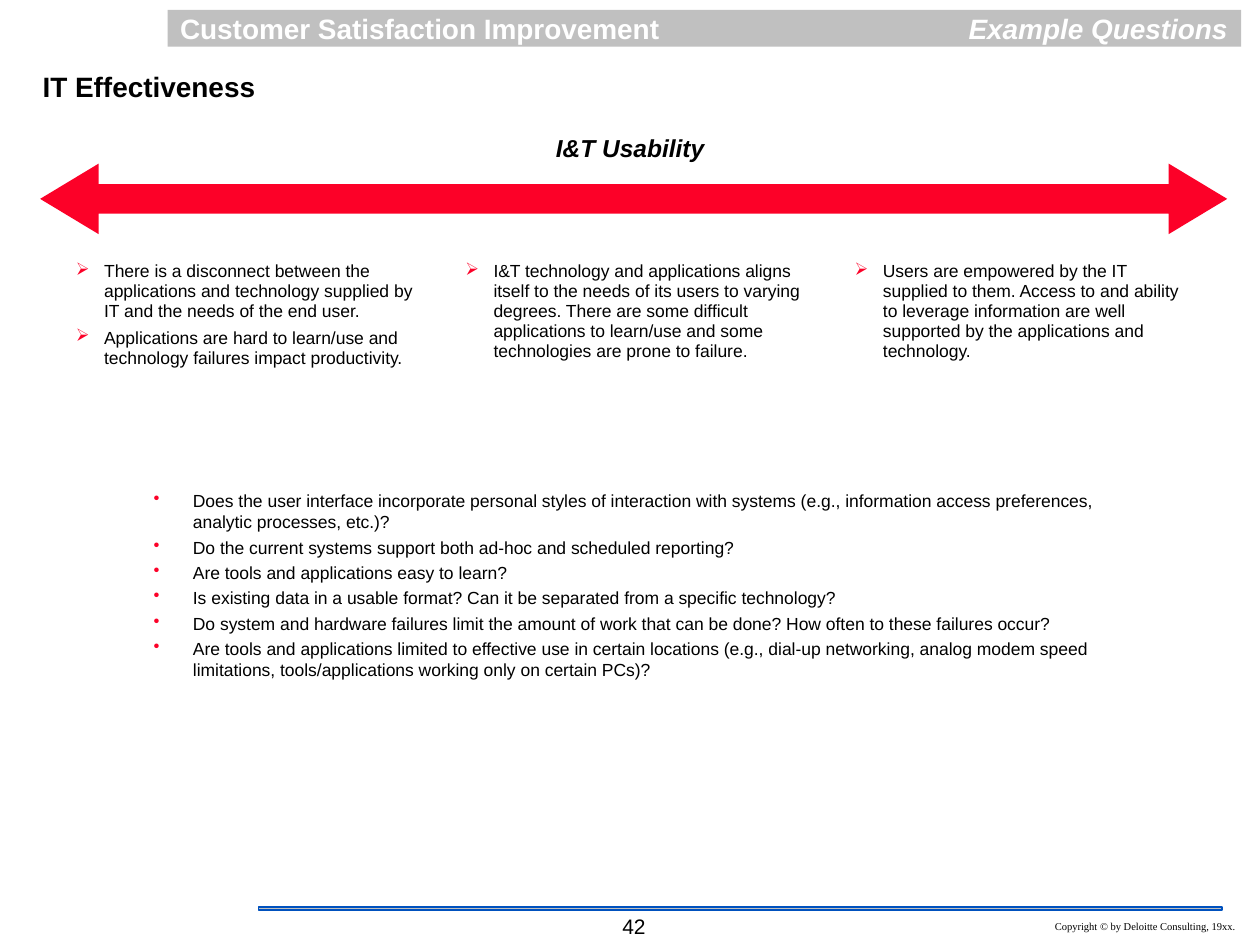
from dataclasses import dataclass

from lxml.etree import SubElement
from pptx import Presentation
from pptx.dml.color import RGBColor
from pptx.enum.shapes import MSO_SHAPE
from pptx.enum.text import MSO_ANCHOR, PP_ALIGN
from pptx.oxml.ns import qn
from pptx.util import Cm, Pt


@dataclass(frozen=True)
class Theme:
    sans: str = "Arial"
    serif: str = "Times New Roman"
    black: str = "000000"
    white: str = "FFFFFF"
    grey: str = "C0C0C0"
    red: str = "FC0128"
    blue: str = "0051BE"
    heading: int = 16
    title: int = 14
    page: int = 12
    body: int = 10
    copyright: int = 6


@dataclass(frozen=True)
class Box:
    """An area of the slide, in centimetres."""
    left: float
    top: float
    width: float
    height: float

    def inner(self, dx, dy, width, height):
        return Box(self.left + dx, self.top + dy, width, height)

    def place(self):
        return [Cm(v) for v in (self.left, self.top, self.width, self.height)]


THEME = Theme()

SCALE_ANSWERS = [
    ["There is a disconnect between the applications and technology supplied by IT "
     "and the needs of the end user.",
     "Applications are hard to learn/use and technology failures impact productivity."],
    ["I&T technology and applications aligns itself to the needs of its users to varying "
     "degrees. There are some difficult applications to learn/use and some technologies "
     "are prone to failure."],
    ["Users are empowered by the IT supplied to them. Access to and ability to leverage "
     "information are well supported by the applications and technology."],
]

QUESTIONS = [
    "Does the user interface incorporate personal styles of interaction with systems "
    "(e.g., information access preferences, analytic processes, etc.)?",
    "Do the current systems support both ad-hoc and scheduled reporting?",
    "Are tools and applications easy to learn?",
    "Is existing data in a usable format? Can it be separated from a specific technology?",
    "Do system and hardware failures limit the amount of work that can be done? "
    "How often to these failures occur?",
    "Are tools and applications limited to effective use in certain locations (e.g., dial-up "
    "networking, analog modem speed limitations, tools/applications working only on certain PCs)?",
]


def add_block(slide, box, kind, fill, outline=None):
    block = slide.shapes.add_shape(kind, *box.place())
    block.shadow.inherit = False
    block.fill.solid()
    block.fill.fore_color.rgb = RGBColor.from_string(fill)
    if outline:
        block.line.color.rgb = RGBColor.from_string(outline)
        block.line.width = Pt(1)
    else:
        block.line.fill.background()
    return block


def add_bullet(paragraph, char, margin, hanging):
    properties = paragraph._p.get_or_add_pPr()
    properties.set("marL", str(Cm(margin)))
    properties.set("indent", str(-Cm(hanging)))
    colour = SubElement(properties, qn("a:buClr"))
    SubElement(colour, qn("a:srgbClr")).set("val", THEME.red)
    SubElement(properties, qn("a:buChar")).set("char", char)


def write(holder, lines, size, colour=THEME.black, font=THEME.sans, bold=False, italic=False,
          align=PP_ALIGN.LEFT, anchor=MSO_ANCHOR.TOP, insets=(0.25, 0.13),
          spacing=1.0, gap=0, bullet=None):
    frame = holder.text_frame
    frame.word_wrap = True
    frame.vertical_anchor = anchor
    frame.margin_left = frame.margin_right = Cm(insets[0])
    frame.margin_top = frame.margin_bottom = Cm(insets[1])
    frame.text = "\n".join(lines)
    for index, paragraph in enumerate(frame.paragraphs):
        if bullet:
            add_bullet(paragraph, *bullet)
        paragraph.alignment = align
        paragraph.line_spacing = spacing
        if index:
            paragraph.space_before = Pt(gap)
        for run in paragraph.runs:
            run.font.name = font
            run.font.size = Pt(size)
            run.font.bold = bold
            run.font.italic = italic
            run.font.color.rgb = RGBColor.from_string(colour)


def add_text(slide, box, lines, size, **style):
    write(slide.shapes.add_textbox(*box.place()), lines, size, **style)


def add_banner(slide, box):
    add_block(slide, box, MSO_SHAPE.RECTANGLE, THEME.grey)
    style = dict(colour=THEME.white, bold=True, spacing=0.89)
    add_text(slide, box.inner(0, -0.02, 10.8, box.height),
             ["Customer Satisfaction Improvement"], THEME.heading, **style)
    add_text(slide, box.inner(10.39, -0.02, 11.23, 0.84),
             ["Example Questions"], THEME.heading, italic=True, align=PP_ALIGN.RIGHT, **style)


def add_footer(slide, box):
    add_block(slide, box.inner(0, 0, 19.43, 0.05), MSO_SHAPE.RECTANGLE, THEME.grey, THEME.blue)
    add_text(slide, box.inner(7.06, 0, 1.02, 0.76), ["42"], THEME.page, align=PP_ALIGN.CENTER)
    add_text(slide, box.inner(14.07, 0.13, 5.87, 0.51),
             ["Copyright © by Deloitte Consulting, 19xx."], THEME.copyright,
             font=THEME.serif, align=PP_ALIGN.RIGHT)


def add_usability_scale(slide, box):
    # Title above the arrow
    title = add_block(slide, box.inner(1.1, 0, 21.59, 0.76), MSO_SHAPE.RECTANGLE, THEME.white)
    write(title, ["I&T Usability"], THEME.title, bold=True, italic=True, align=PP_ALIGN.CENTER,
          anchor=MSO_ANCHOR.MIDDLE, insets=(0.23, 0.13), spacing=0.87)
    arrow = add_block(slide, box.inner(0, 0.66, box.width, 1.42),
                      MSO_SHAPE.LEFT_RIGHT_ARROW, THEME.red)
    arrow.adjustments[0], arrow.adjustments[1] = 0.42, 0.83

    # Three answers, from poor to good
    pitch = 7.85
    for column, answer in enumerate(SCALE_ANSWERS):
        add_text(slide, box.inner(0.49 + column * pitch, 2.44, 7.26, 6.05), answer, THEME.body,
                 insets=(0.23, 0.2), spacing=0.95, gap=3.7, bullet=("➢", 0.57, 0.57))


def add_questions(slide, box):
    add_text(slide, box, QUESTIONS, THEME.body, insets=(0.23, 0.13), gap=2.5,
             bullet=("•", 1.93, 0.79))


def main():
    deck = Presentation()
    deck.slide_width, deck.slide_height = Cm(25.4), Cm(19.05)
    slide = deck.slides.add_slide(deck.slide_layouts[6])

    add_banner(slide, Box(3.38, 0.2, 21.64, 0.74))
    add_footer(slide, Box(5.21, 18.29, 19.94, 0.76))
    add_text(slide, Box(0.76, 1.35, 4.75, 1.52), ["IT Effectiveness"], THEME.heading,
             bold=True, insets=(0.1, 0.1), spacing=0.95)
    add_usability_scale(slide, Box(0.81, 2.64, 23.93, 8.49))
    add_questions(slide, Box(1.73, 9.75, 21.36, 5.49))

    deck.save("out.pptx")


if __name__ == "__main__":
    main()
